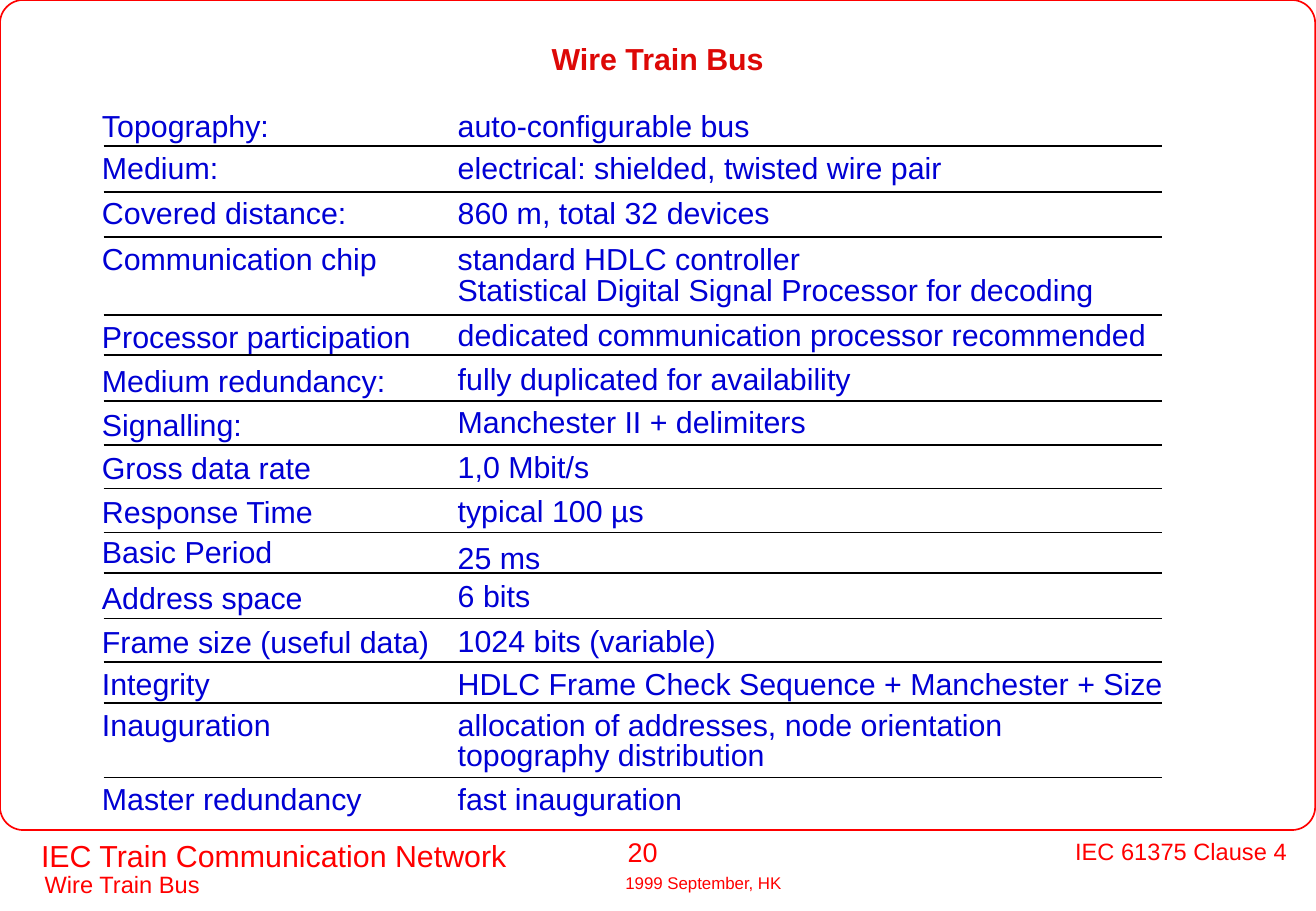
from dataclasses import dataclass

from pptx import Presentation
from pptx.dml.color import RGBColor
from pptx.enum.shapes import MSO_CONNECTOR as Connector, MSO_SHAPE as Shape
from pptx.enum.text import MSO_ANCHOR as Anchor, MSO_AUTO_SIZE as AutoSize, PP_ALIGN as Align
from pptx.oxml.ns import qn
from pptx.util import Pt


@dataclass(frozen=True)
class Theme:
    font: str = "Arial"
    frame: RGBColor = RGBColor(0xFF, 0x00, 0x00)
    title: RGBColor = RGBColor(0xDD, 0x08, 0x06)
    body: RGBColor = RGBColor(0x00, 0x00, 0xD4)
    rule: RGBColor = RGBColor(0x00, 0x00, 0x00)
    large: int = 18
    number: int = 16
    small: int = 14
    tiny: int = 10
    line_width: int = 1
    line_pitch: int = 18


class SlideBuilder:
    def __init__(self, slide, theme):
        self.slide = slide
        self.theme = theme

    def frame(self, left, top, width, height, corner):
        shape = self.slide.shapes.add_shape(
            Shape.ROUNDED_RECTANGLE, Pt(left), Pt(top), Pt(width), Pt(height))
        shape.adjustments[0] = corner
        shape.shadow.inherit = False
        shape.fill.background()
        shape.line.color.rgb = self.theme.frame
        shape.line.width = Pt(self.theme.line_width)

    def rule(self, left, right, y):
        line = self.slide.shapes.add_connector(
            Connector.STRAIGHT, Pt(left), Pt(y), Pt(right), Pt(y))
        line.line.color.rgb = self.theme.rule
        line.line.width = Pt(self.theme.line_width)
        properties = line._element.spPr
        properties.append(properties.makeelement(qn("a:effectLst"), {}))

    def text(self, text, left, top, width, size, color, align=Align.LEFT):
        height = 1.2 * size + 7.2
        box = self.slide.shapes.add_textbox(Pt(left), Pt(top), Pt(width), Pt(height))
        frame_format = {"word_wrap": False, "auto_size": AutoSize.SHAPE_TO_FIT_TEXT}
        for name, value in frame_format.items():
            setattr(box.text_frame, name, value)
        paragraph = box.text_frame.paragraphs[0]
        paragraph.alignment = align
        run = paragraph.add_run()
        run.text = text
        run.font.color.rgb = color
        for name, value in {"name": self.theme.font, "size": Pt(size)}.items():
            setattr(run.font, name, value)
        return box

    def title(self, text, left, top, width, height):
        box = self.text(text, left, top, width, self.theme.large,
                        self.theme.title, Align.CENTER)
        frame_format = {"word_wrap": True, "auto_size": AutoSize.NONE,
                        "vertical_anchor": Anchor.MIDDLE}
        for name, value in frame_format.items():
            setattr(box.text_frame, name, value)
        box.height = Pt(height)
        paragraph = box.text_frame.paragraphs[0]
        paragraph.line_spacing = 0.9
        paragraph.runs[0].font.bold = True

    def entry(self, lines, left, top):
        for index, (text, width) in enumerate(lines):
            self.text(text, left, top + index * self.theme.line_pitch, width,
                      self.theme.large, self.theme.body)


LABEL_LEFT, VALUE_LEFT = 53.4, 264.4
RULE_LEFT, RULE_RIGHT = 61.5, 689.2

# Label, its width and top; value lines with widths, their top; rule below
PROPERTIES = [
    ("Topography:", 118, 59.8, [("auto-configurable bus", 190)], 59.8, 86.6),
    ("Medium:", 86, 85, [("electrical: shielded, twisted wire pair", 304)], 85, 113.8),
    ("Covered distance:", 162, 111.8, [("860 m, total 32 devices", 202)], 111.8, 140.6),
    ("Communication chip", 180, 139,
     [("standard HDLC controller", 220),
      ("Statistical Digital Signal Processor for decoding", 394)], 139, 186.7),
    ("Processor participation", 200, 185,
     [("dedicated communication processor recommended", 425)], 184, 210.6),
    ("Medium redundancy:", 185, 211, [("fully duplicated for availability", 250)], 209.8, 237.8),
    ("Signalling:", 100, 237, [("Manchester II + delimiters", 223)], 235.6, 263.7),
    ("Gross data rate", 141, 263, [("1,0 Mbit/s", 95)], 262, 289.6),
    ("Response Time", 143, 289, [("typical 100 µs", 127)], 288, 315.6),
    ("Basic Period", 118, 312.6, [("25 ms", 66)], 316, 339.8),
    ("Address space", 136, 340, [("6 bits", 60)], 338.8, 366.7),
    ("Frame size (useful data)", 210, 366, [("1024 bits (variable)", 170)], 365, 392.6),
    ("Integrity", 81, 391, [("HDLC Frame Check Sequence + Manchester + Size", 435)], 391, 416.6),
    ("Inauguration", 118, 414.8,
     [("allocation of addresses, node orientation", 340),
      ("topography distribution", 199)], 414.8, 460.8),
    ("Master redundancy", 171, 459, [("fast inauguration", 150)], 459, None),
]


def main():
    presentation = Presentation()
    presentation.slide_width = Pt(780.48)
    presentation.slide_height = Pt(540)
    theme = Theme()
    builder = SlideBuilder(
        presentation.slides.add_slide(presentation.slide_layouts[6]), theme)

    # Frame and footer
    builder.frame(0, 0, 780, 492, 0.028)
    footer = [
        ("Wire Train Bus", 19.4, 512.2, 109, theme.small, Align.LEFT),
        ("20", 365.2, 492, 87, theme.number, Align.LEFT),
        ("IEC Train Communication Network", 17.3, 492.5, 294, theme.large, Align.LEFT),
        ("IEC 61375 Clause 4", 630.4, 492.8, 140, theme.small, Align.RIGHT),
        ("1999 September, HK", 363.8, 513.6, 109, theme.tiny, Align.LEFT),
    ]
    for text, left, top, width, size, align in footer:
        builder.text(text, left, top, width, size, theme.frame, align)

    # Title
    builder.title("Wire Train Bus", 13, 15.8, 754, 40.3)

    # Bus properties
    for label, width, label_top, value_lines, value_top, rule_y in PROPERTIES:
        builder.entry([(label, width)], LABEL_LEFT, label_top)
        builder.entry(value_lines, VALUE_LEFT, value_top)
        if rule_y is not None:
            builder.rule(RULE_LEFT, RULE_RIGHT, rule_y)

    presentation.save("out.pptx")


if __name__ == "__main__":
    main()
